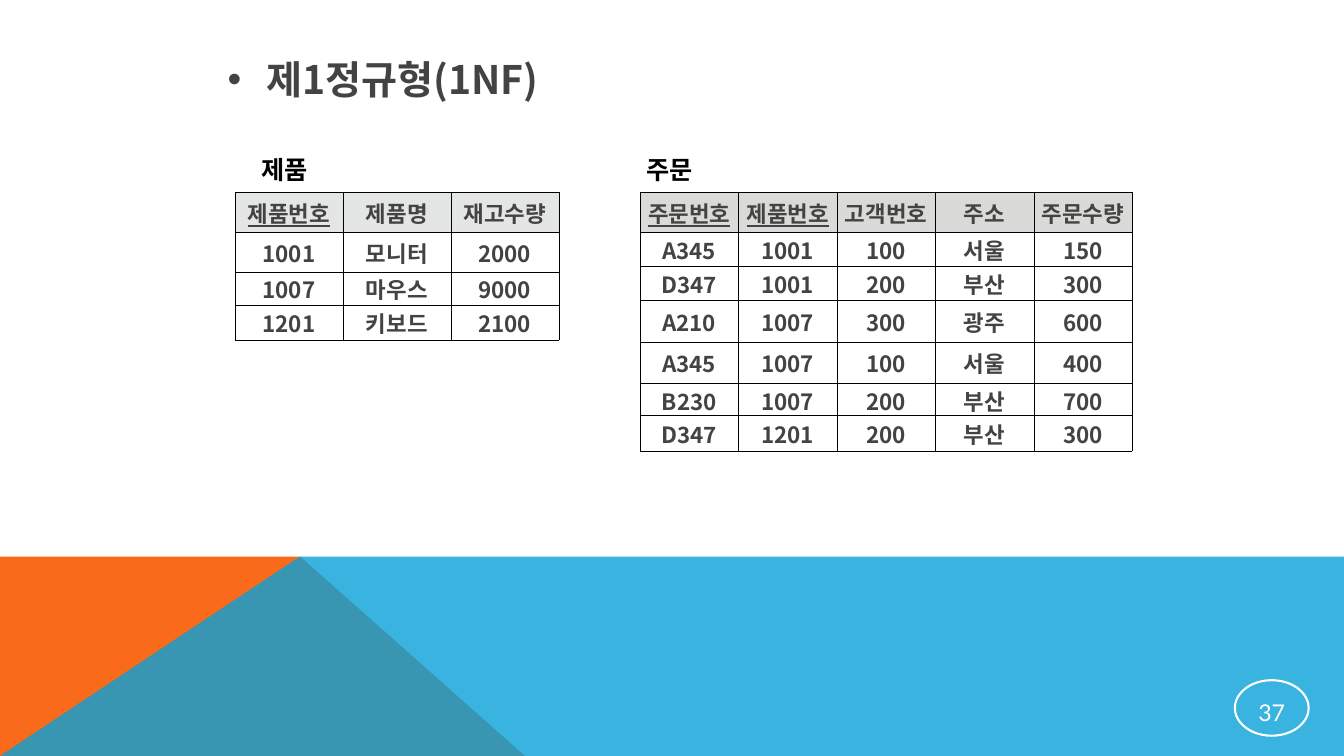
import pptx
import pptx.util
import pptx.dml.color
import pptx.enum.shapes
import pptx.enum.text
import pptx.oxml
import pptx.oxml.ns
import lxml.etree

Cm = pptx.util.Cm
Pt = pptx.util.Pt
PP_ALIGN = pptx.enum.text.PP_ALIGN
MIDDLE = pptx.enum.text.MSO_ANCHOR.MIDDLE
qn = pptx.oxml.ns.qn

COLORS = {
    "orange": "F96A1B",
    "blue": "08A1D9",
    "white": "FFFFFF",
    "black": "000000",
    "text": "434342",
    "product_head": "E4E5E5",
    "order_head": "DADAD9",
}


class SlideBuilder:
    korean = "Noto Sans CJK KR"
    latin = "Lato"

    def __init__(self, slide):
        self.slide = slide

    def rgb(self, name):
        return pptx.dml.color.RGBColor.from_string(COLORS[name])

    def fill(self, target, color):
        target.fill.solid()
        target.fill.fore_color.rgb = self.rgb(color)

    def format(self, p, size, color, font, bold=True, underline=None,
               align=None, spacing=None):
        p.alignment = align
        p.line_spacing = spacing
        for r in p.runs:
            r.font.size = Pt(size)
            r.font.bold = bold
            r.font.underline = underline
            r.font.color.rgb = self.rgb(color)
            r.font.name = font
            ea = lxml.etree.Element(qn("a:ea"), typeface=font)
            r.font._element.find(qn("a:latin")).addnext(ea)

    def polygon(self, points, color, alpha=None):
        start, *rest = [(Cm(x), Cm(y)) for x, y in points]
        fb = self.slide.shapes.build_freeform(*start, scale=1.0)
        fb.add_line_segments(rest, close=True)
        sp = fb.convert_to_shape()
        sp.shadow.inherit = False
        self.fill(sp, color)
        sp.line.fill.background()
        if alpha is not None:
            clr = sp._element.spPr.find(".//" + qn("a:srgbClr"))
            lxml.etree.SubElement(clr, qn("a:alpha"), val=str(alpha * 1000))

    def badge(self, text, x, y, w, h):
        sp = self.slide.shapes.add_shape(
            pptx.enum.shapes.MSO_SHAPE.OVAL, Cm(x), Cm(y), Cm(w), Cm(h))
        sp.shadow.inherit = False
        sp.fill.background()
        sp.line.color.rgb = self.rgb("white")
        sp.line.width = Pt(1.5)
        tf = sp.text_frame
        tf.text = text
        tf.vertical_anchor = MIDDLE
        tf.margin_left = tf.margin_right = tf.margin_bottom = Cm(0.03)
        tf.margin_top = Cm(0.23)
        self.format(tf.paragraphs[0], 16.5, "white", self.latin,
                    bold=False, align=PP_ALIGN.CENTER)

    def text(self, text, x, y, w, h, size, color, wrap):
        sp = self.slide.shapes.add_textbox(Cm(x), Cm(y), Cm(w), Cm(h))
        tf = sp.text_frame
        tf.text = text
        tf.word_wrap = wrap
        p = tf.paragraphs[0]
        self.format(p, size, color, self.korean, spacing=1.3)
        return p

    def heading(self, text, x, y, w, h):
        p = self.text(text, x, y, w, h, 28, "text", True)
        p.space_before = Pt(5.6)
        pPr = p._p.get_or_add_pPr()
        pPr.set("marL", str(Cm(0.97)))
        pPr.set("indent", str(-Cm(0.97)))
        lxml.etree.SubElement(pPr, qn("a:buFont"), typeface="Arial")
        lxml.etree.SubElement(pPr, qn("a:buChar"), char="•")

    def label(self, text, x, y):
        self.text(text, x, y, 1.78, 1.24, 18, "black", False)

    def borders(self, cell):
        tcPr = cell._tc.get_or_add_tcPr()
        for i, side in enumerate(("lnL", "lnR", "lnT", "lnB")):
            ln = lxml.etree.Element(qn("a:" + side), w=str(Pt(0.25)))
            solid = lxml.etree.SubElement(ln, qn("a:solidFill"))
            lxml.etree.SubElement(solid, qn("a:srgbClr"), val=COLORS["black"])
            tcPr.insert(i, ln)

    def table(self, rows, x, y, col_width, heights, head, keys):
        cols = len(rows[0])
        tbl = self.slide.shapes.add_table(
            len(rows), cols, Cm(x), Cm(y),
            Cm(col_width * cols), Cm(sum(heights))).table
        tbl.first_row = tbl.horz_banding = False
        for col in tbl.columns:
            col.width = Cm(col_width)
        for i, (row, height) in enumerate(zip(rows, heights)):
            tbl.rows[i].height = Cm(height)
            for j, value in enumerate(row):
                cell = tbl.cell(i, j)
                cell.text = value
                cell.vertical_anchor = MIDDLE
                cell.margin_left = cell.margin_right = Cm(0.03)
                cell.margin_top = Cm(0.03)
                cell.margin_bottom = 0
                if i == 0:
                    self.fill(cell, head)
                else:
                    cell.fill.background()
                self.borders(cell)
                self.format(
                    cell.text_frame.paragraphs[0], 16, "text", self.korean,
                    underline=i == 0 and j < keys, align=PP_ALIGN.CENTER,
                    spacing=1.0)


def main():
    prs = pptx.Presentation()
    prs.slide_width, prs.slide_height = Cm(33.87), Cm(19.05)
    s = SlideBuilder(prs.slides.add_slide(prs.slide_layouts[6]))

    bottom, top = 19.05, 14.03
    s.polygon([(0, bottom), (0, top), (7.57, top), (13.23, bottom)], "orange")
    s.polygon([(0, bottom), (7.55, top), (33.87, top), (33.87, bottom)],
              "blue", alpha=80)
    s.badge("37", 31.12, 17.14, 1.86, 1.4)
    s.heading("제1정규형(1NF)", 5.49, 0.91, 22.86, 1.8)

    products = [
        ("제품번호", "제품명", "재고수량"),
        ("1001", "모니터", "2000"),
        ("1007", "마우스", "9000"),
        ("1201", "키보드", "2100"),
    ]
    orders = [
        ("주문번호", "제품번호", "고객번호", "주소", "주문수량"),
        ("A345", "1001", "100", "서울", "150"),
        ("D347", "1001", "200", "부산", "300"),
        ("A210", "1007", "300", "광주", "600"),
        ("A345", "1007", "100", "서울", "400"),
        ("B230", "1007", "200", "부산", "700"),
        ("D347", "1201", "200", "부산", "300"),
    ]
    s.table(products, 5.92, 4.85, 2.72, [1.0, 1.0, 0.84, 0.88],
            "product_head", keys=1)
    s.table(orders, 16.13, 4.85, 2.48,
            [1.0, 0.86, 0.86, 1.04, 1.04, 0.82, 0.89],
            "order_head", keys=2)
    s.label("제품", 6.34, 3.53)
    s.label("주문", 16.05, 3.53)
    prs.save("out.pptx")


if __name__ == "__main__":
    main()
